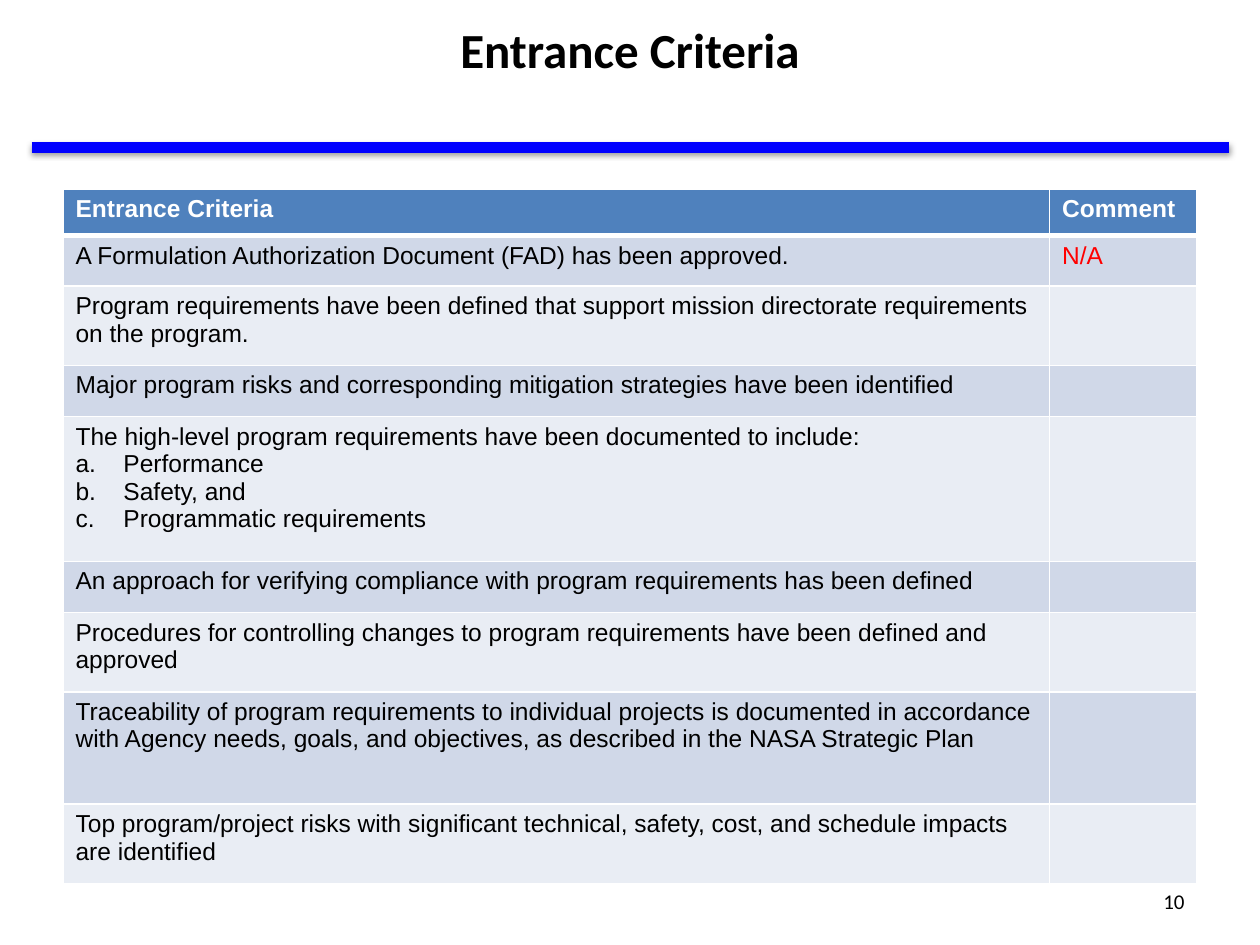
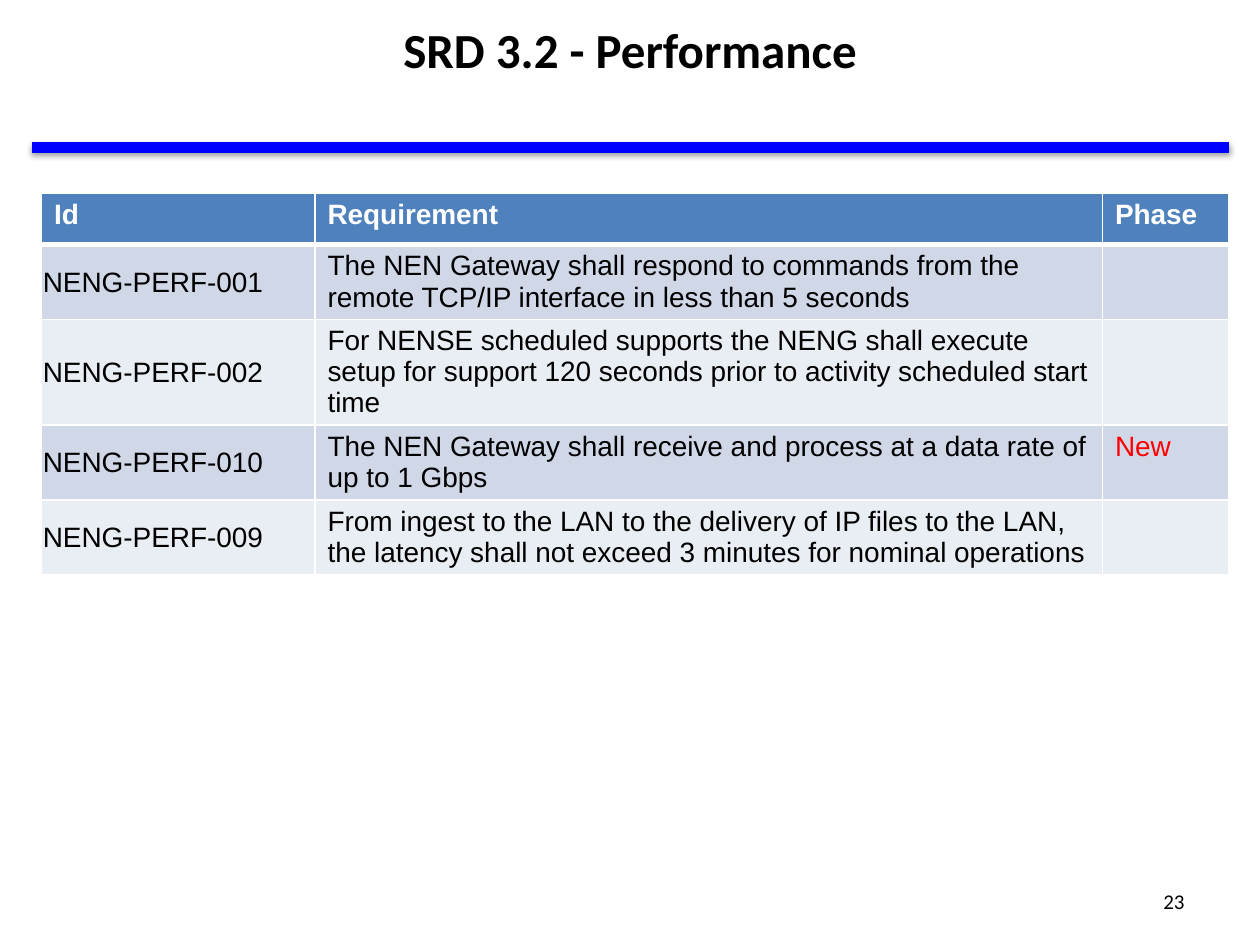
"""Build two review slides, each with a title, a rule, a table and a page number."""
from dataclasses import dataclass, field

from lxml import etree
from pptx import Presentation
from pptx import util as u
from pptx.dml.color import RGBColor
from pptx.enum import shapes, text
from pptx.oxml.ns import qn

PX = 9144


@dataclass(frozen=True)
class Theme:
    """Colours, fonts and type sizes shared by the slides."""
    ink: str = "000000"
    paper: str = "FFFFFF"
    rule: str = "0000FF"
    header: str = "4F81BD"
    bands: tuple[str, str] = ("D0D8E8", "E9EDF4")
    flag: str = "FF0000"
    heading_font: str = "Calibri"
    body_font: str = "Arial"
    title_size: int = 28
    page_size: int = 12
    rule_width: int = 6
    grid_width: int = 1
    header_grid_width: int = 3


@dataclass(frozen=True)
class Box:
    """A rectangle in px."""
    left: int
    top: int
    width: int
    height: int

    def emu(self) -> tuple[int, ...]:
        """Return left, top, width and height in EMU."""
        return tuple(side * PX for side in (self.left, self.top, self.width, self.height))


@dataclass(frozen=True)
class Entry:
    """The content of one table cell, with an optional lettered list."""
    words: str = ""
    letters: tuple[str, ...] = ()
    flagged: bool = False
    snug: bool = False


@dataclass(frozen=True)
class Grid:
    """A table with its place, track sizes and rows below the header."""
    left: int
    top: int
    columns: tuple[int, ...]
    heights: tuple[int, ...]
    size: int
    header: tuple[str, ...]
    rows: list[tuple[Entry, ...]] = field(default_factory=list)


@dataclass(frozen=True)
class Page:
    """One slide."""
    title: str
    number: int
    grid: Grid


THEME = Theme()
TITLE_BOX = Box(204, 9, 592, 59)
NUMBER_BOX = Box(717, 695, 233, 40)
RULE_LEFT, RULE_RIGHT, RULE_TOP = 25, 975, 117
LETTER_INDENT = 38
SNUG_INSET = 1


def criterion(words: str, *letters: str, comment: str = "") -> tuple[Entry, Entry]:
    """Return a row of the entrance criteria table."""
    return Entry(words, letters), Entry(comment, flagged=True)


def requirement(number: str, words: str, phase: str = "") -> tuple[Entry, Entry, Entry]:
    """Return a row of the performance requirements table."""
    return Entry(f"NENG-PERF-{number}", snug=True), Entry(words), Entry(phase, flagged=True)


PAGES = [
    Page("Entrance Criteria", 10, Grid(
        50, 150, (783, 117), (37, 40, 63, 40, 115, 40, 63, 89, 63), 14,
        ("Entrance Criteria", "Comment"), [
            criterion("A Formulation Authorization Document (FAD) has been approved.",
                      comment="N/A"),
            criterion("Program requirements have been defined that support mission "
                      "directorate requirements on the program."),
            criterion("Major program risks and corresponding mitigation strategies "
                      "have been identified"),
            criterion("The high-level program requirements have been documented to include:",
                      "Performance", "Safety, and", "Programmatic requirements"),
            criterion("An approach for verifying compliance with program requirements "
                      "has been defined"),
            criterion("Procedures for controlling changes to program requirements "
                      "have been defined and approved"),
            criterion("Traceability of program requirements to individual projects is "
                      "documented in accordance with Agency needs, goals, and objectives, "
                      "as described in the NASA Strategic Plan"),
            criterion("Top program/project risks with significant technical, safety, cost, "
                      "and schedule impacts are identified"),
        ])),
    Page("SRD 3.2 - Performance", 23, Grid(
        33, 153, (217, 625, 100), (41,) * 5, 16,
        ("Id", "Requirement", "Phase"), [
            requirement("001", "The NEN Gateway shall respond to commands from the remote "
                               "TCP/IP interface in less than 5 seconds"),
            requirement("002", "For NENSE scheduled supports the NENG shall execute setup for "
                               "support 120 seconds prior to activity scheduled start time"),
            requirement("010", "The NEN Gateway shall receive and process at a data rate of "
                               "up to 1 Gbps", "New"),
            requirement("009", "From ingest to the LAN to the delivery of IP files to the LAN, "
                               "the latency shall not exceed 3 minutes for nominal operations"),
        ])),
]


def write(paragraph, words: str, *, size: int, font: str = THEME.body_font,
          color: str = THEME.ink, bold: bool = False, align=text.PP_ALIGN.LEFT) -> None:
    """Write words into a paragraph with the given format."""
    paragraph.alignment = align
    if not words:
        return
    run = paragraph.add_run()
    run.text = words
    run.font.size = u.Pt(size)
    run.font.name = font
    run.font.bold = bold
    run.font.color.rgb = RGBColor.from_string(color)


def add_letter(paragraph) -> None:
    """Number a paragraph with a letter and a hanging indent."""
    properties = paragraph._p.get_or_add_pPr()
    properties.set("marL", str(LETTER_INDENT * PX))
    properties.set("indent", str(-LETTER_INDENT * PX))
    etree.SubElement(properties, qn("a:buFont"), typeface="+mj-lt")
    etree.SubElement(properties, qn("a:buAutoNum"), type="alphaLcPeriod")


def draw_borders(cell, top: int, bottom: int) -> None:
    """Draw the four cell borders, with the top and bottom widths in points."""
    properties = cell._tc.get_or_add_tcPr()
    side = THEME.grid_width
    for edge, width in (("lnL", side), ("lnR", side), ("lnT", top), ("lnB", bottom)):
        line = etree.SubElement(properties, qn(f"a:{edge}"), w=str(u.Pt(width)))
        paint = etree.SubElement(line, qn("a:solidFill"))
        etree.SubElement(paint, qn("a:srgbClr"), val=THEME.paper)


def fill_cell(cell, entry: Entry, row: int, size: int) -> None:
    """Format one cell by its row and write its entry."""
    thin, thick = THEME.grid_width, THEME.header_grid_width
    draw_borders(cell, thick if row == 1 else thin, thick if row == 0 else thin)
    cell.fill.solid()
    band = THEME.bands[(row - 1) % 2] if row else THEME.header
    cell.fill.fore_color.rgb = RGBColor.from_string(band)
    if entry.snug:
        cell.vertical_anchor = text.MSO_ANCHOR.MIDDLE
        cell.margin_left = cell.margin_top = cell.margin_right = SNUG_INSET * PX
        cell.margin_bottom = 0
    color = THEME.flag if entry.flagged else THEME.ink
    write(cell.text_frame.paragraphs[0], entry.words, size=size, bold=row == 0,
          color=color if row else THEME.paper)
    for words in entry.letters:
        paragraph = cell.text_frame.add_paragraph()
        add_letter(paragraph)
        write(paragraph, words, size=size)


def draw_grid(slide, grid: Grid) -> None:
    """Draw a table with its header and banded rows."""
    place = Box(grid.left, grid.top, sum(grid.columns), sum(grid.heights))
    table = slide.shapes.add_table(len(grid.heights), len(grid.columns), *place.emu()).table
    table.horz_banding = False
    for column, width in zip(table.columns, grid.columns):
        column.width = width * PX
    for row, height in zip(table.rows, grid.heights):
        row.height = height * PX
    header = tuple(Entry(words) for words in grid.header)
    for row, entries in enumerate([header, *grid.rows]):
        for column, entry in enumerate(entries):
            fill_cell(table.cell(row, column), entry, row, grid.size)


def draw_rule(slide) -> None:
    """Draw the thick rule with a soft shadow under the title."""
    rule = slide.shapes.add_connector(
        shapes.MSO_CONNECTOR.STRAIGHT,
        RULE_LEFT * PX, RULE_TOP * PX, RULE_RIGHT * PX, RULE_TOP * PX)
    rule.line.color.rgb = RGBColor.from_string(THEME.rule)
    rule.line.width = u.Pt(THEME.rule_width)
    effects = etree.SubElement(rule._element.spPr, qn("a:effectLst"))
    shadow = etree.SubElement(
        effects, qn("a:outerShdw"), blurRad=str(u.Pt(3.1)), dist=str(u.Pt(1.6)),
        dir="5400000", rotWithShape="0")
    shade = etree.SubElement(shadow, qn("a:srgbClr"), val=THEME.ink)
    etree.SubElement(shade, qn("a:alpha"), val="38000")


def draw_title(slide, words: str) -> None:
    """Place and write the slide title."""
    title = slide.shapes.title
    title.left, title.top, title.width, title.height = TITLE_BOX.emu()
    title.text_frame.vertical_anchor = text.MSO_ANCHOR.MIDDLE
    write(title.text_frame.paragraphs[0], words, size=THEME.title_size,
          font=THEME.heading_font, bold=True, align=text.PP_ALIGN.CENTER)


def draw_number(slide, number: int) -> None:
    """Write the page number at the lower right."""
    frame = slide.shapes.add_textbox(*NUMBER_BOX.emu()).text_frame
    frame.word_wrap = True
    frame.vertical_anchor = text.MSO_ANCHOR.MIDDLE
    write(frame.paragraphs[0], str(number), size=THEME.page_size,
          font=THEME.heading_font, align=text.PP_ALIGN.RIGHT)


def main() -> None:
    """Build and save the presentation."""
    deck = Presentation()
    deck.slide_width, deck.slide_height = 1000 * PX, 750 * PX
    title_only = deck.slide_layouts.get_by_name("Title Only")
    for page in PAGES:
        slide = deck.slides.add_slide(title_only)
        draw_rule(slide)
        draw_title(slide, page.title)
        draw_grid(slide, page.grid)
        draw_number(slide, page.number)
    deck.save("out.pptx")


if __name__ == "__main__":
    main()
